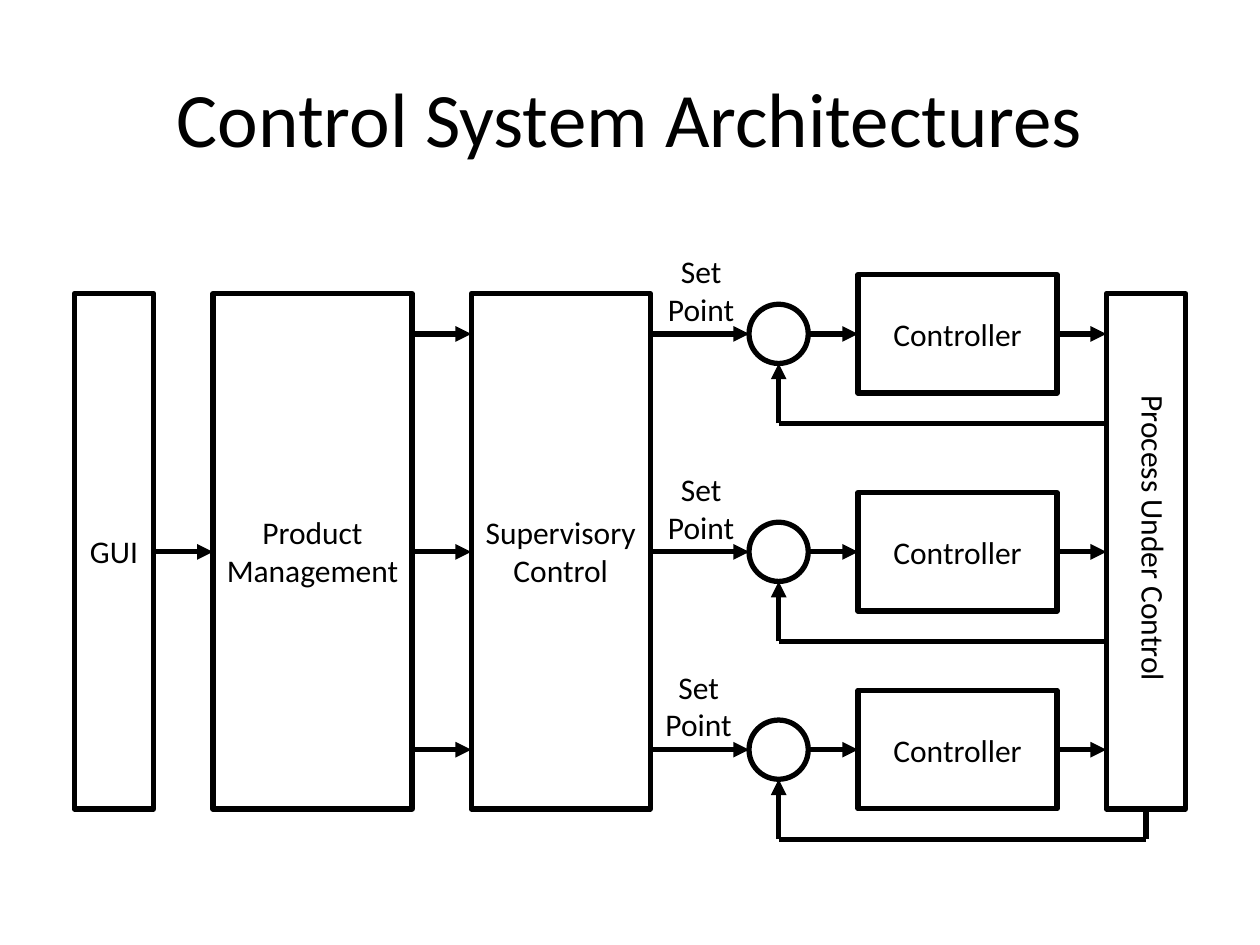
from lxml.etree import SubElement
from pptx import Presentation
from pptx.dml.color import RGBColor
from pptx.enum.shapes import MSO_CONNECTOR, MSO_SHAPE
from pptx.enum.text import MSO_ANCHOR, MSO_AUTO_SIZE, PP_ALIGN
from pptx.oxml.ns import qn
from pptx.util import Inches, Pt

COLORS = {"ink": "000000"}
FONT = "Calibri"
TITLE = "Control System Architectures"
STAGES = {
    "gui": (0.59, 0.63, ["GUI"]),
    "product": (1.69, 1.58, ["Product", "Management"]),
    "supervisory": (3.74, 1.42, ["Supervisory", "Control"]),
    "process": (8.78, 0.63, []),
}
PROCESS_LABEL = "Process Under Control"
SET_POINT = ["Set", "Point"]
LOOPS = [(2.65, 5.18), (4.38, 5.18), (5.95, 5.16)]
STAGE_TOP, STAGE_HEIGHT = 2.33, 4.09
CONTROLLER_LEFT, CONTROLLER_WIDTH, CONTROLLER_HEIGHT = 6.81, 1.58, 0.94
JUNCTION_X, JUNCTION_SIZE = 6.18, 0.47
FEEDBACK_DROP = 0.71

INK = RGBColor.from_string(COLORS["ink"])


def write_lines(text_frame, lines, size=18, align=PP_ALIGN.CENTER):
    for index, line in enumerate(lines):
        paragraph = text_frame.paragraphs[0] if index == 0 else text_frame.add_paragraph()
        paragraph.alignment = align
        run = paragraph.add_run()
        run.text = line
        run.font.name = FONT
        run.font.size = Pt(size)
        run.font.color.rgb = INK


def add_outline(slide, preset, left, top, width, height, lines=()):
    shape = slide.shapes.add_shape(
        preset, Inches(left), Inches(top), Inches(width), Inches(height))
    shape.shadow.inherit = False
    shape.fill.background()
    shape.line.color.rgb = INK
    shape.line.width = Pt(3)
    shape.text_frame.word_wrap = False
    shape.text_frame.vertical_anchor = MSO_ANCHOR.MIDDLE
    write_lines(shape.text_frame, lines)


def add_label(slide, left, top, width, height, lines, align=PP_ALIGN.CENTER):
    box = slide.shapes.add_textbox(Inches(left), Inches(top), Inches(width), Inches(height))
    box.text_frame.word_wrap = False
    box.text_frame.auto_size = MSO_AUTO_SIZE.SHAPE_TO_FIT_TEXT
    write_lines(box.text_frame, lines, align=align)
    return box


def add_line(slide, start, end, arrow=True):
    connector = slide.shapes.add_connector(
        MSO_CONNECTOR.STRAIGHT, *(Inches(value) for value in (*start, *end)))
    connector.line.color.rgb = INK
    connector.line.width = Pt(3)
    properties = connector._element.spPr
    if arrow:
        SubElement(properties.find(qn("a:ln")), qn("a:tailEnd"), type="triangle")
    SubElement(properties, qn("a:effectLst"))


def right_edge(name):
    left, width, _ = STAGES[name]
    return left + width


def add_loop(slide, y, label_left, is_last):
    radius = JUNCTION_SIZE / 2
    process_left, process_width, _ = STAGES["process"]
    controller_right = CONTROLLER_LEFT + CONTROLLER_WIDTH
    add_outline(slide, MSO_SHAPE.RECTANGLE, CONTROLLER_LEFT, y - CONTROLLER_HEIGHT / 2,
                CONTROLLER_WIDTH, CONTROLLER_HEIGHT, ["Controller"])
    add_outline(slide, MSO_SHAPE.OVAL, JUNCTION_X - radius, y - radius,
                JUNCTION_SIZE, JUNCTION_SIZE)
    add_label(slide, label_left, y - 0.7, 0.77, 0.7, SET_POINT)
    for start, end in [
        (right_edge("product"), STAGES["supervisory"][0]),
        (right_edge("supervisory"), JUNCTION_X - radius),
        (JUNCTION_X + radius, CONTROLLER_LEFT),
        (controller_right, process_left),
    ]:
        add_line(slide, (start, y), (end, y))

    feedback_y = y + FEEDBACK_DROP
    feedback_x = process_left + process_width / 2 if is_last else process_left
    add_line(slide, (JUNCTION_X, feedback_y), (JUNCTION_X, y + radius))
    add_line(slide, (JUNCTION_X, feedback_y), (feedback_x, feedback_y), arrow=False)
    if is_last:
        add_line(slide, (feedback_x, feedback_y),
                 (feedback_x, STAGE_TOP + STAGE_HEIGHT), arrow=False)


def main():
    presentation = Presentation()
    presentation.slide_width, presentation.slide_height = Inches(10), Inches(7.5)
    slide = presentation.slides.add_slide(presentation.slide_layouts[5])

    title = slide.shapes.title
    title.left, title.top = Inches(0.5), Inches(0.3)
    title.width, title.height = Inches(9), Inches(1.25)
    title.text_frame.vertical_anchor = MSO_ANCHOR.MIDDLE
    write_lines(title.text_frame, [TITLE], size=44)

    for left, width, lines in STAGES.values():
        add_outline(slide, MSO_SHAPE.RECTANGLE, left, STAGE_TOP, width, STAGE_HEIGHT, lines)
    for index, (y, label_left) in enumerate(LOOPS):
        add_loop(slide, y, label_left, index == len(LOOPS) - 1)

    middle_y = LOOPS[1][0]
    add_line(slide, (right_edge("gui"), middle_y), (STAGES["product"][0], middle_y))
    process_label = add_label(slide, 8.86, 3.04, 0.5, 2.63, [PROCESS_LABEL], PP_ALIGN.LEFT)
    process_label._element.txBody.find(qn("a:bodyPr")).set("vert", "eaVert")

    presentation.save("out.pptx")


if __name__ == "__main__":
    main()
